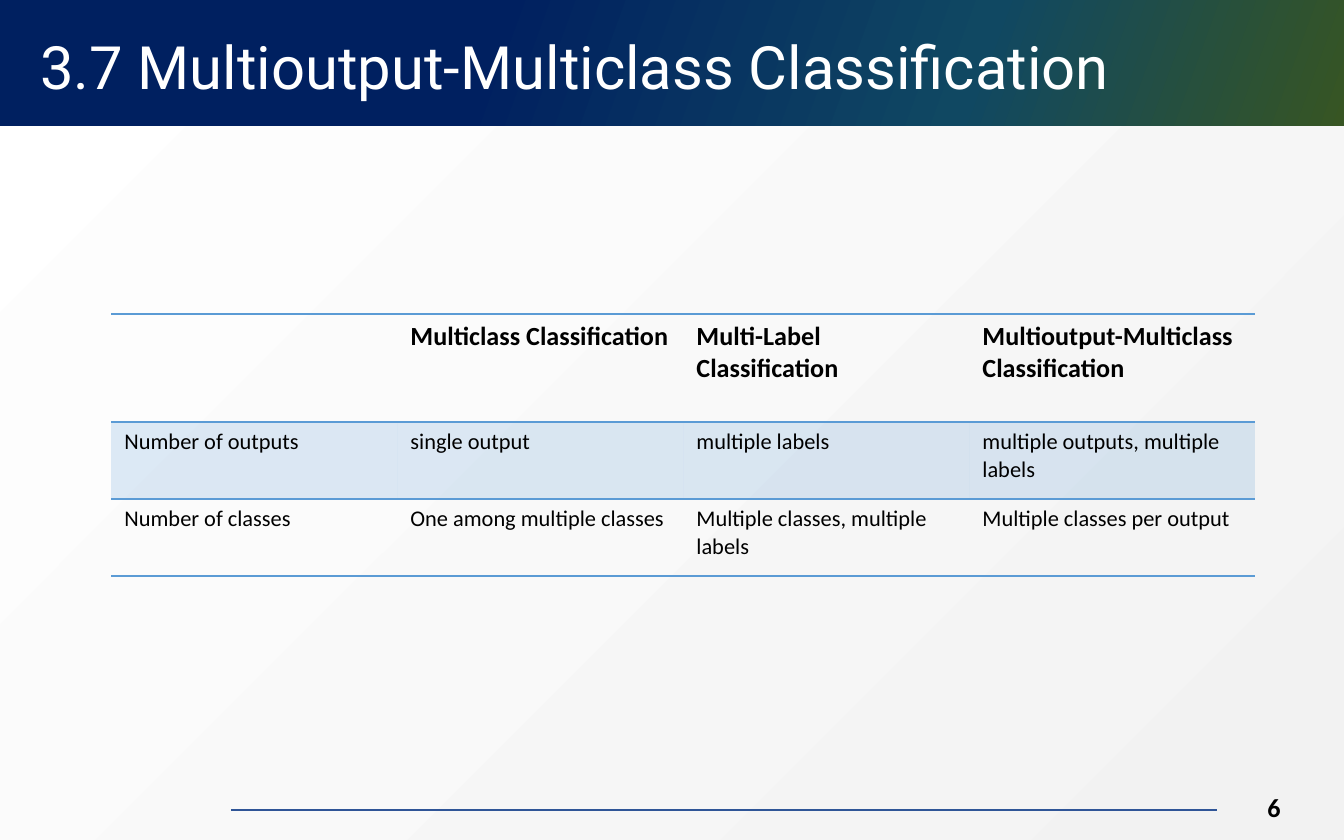
from lxml import etree
from pptx import Presentation
from pptx import util as u
from pptx.dml.color import RGBColor
from pptx.enum import shapes, text
from pptx.oxml.ns import qn

SCALE = 914400 / 134.4
WHITE = RGBColor(0xFF, 0xFF, 0xFF)
BLACK = RGBColor(0, 0, 0)
LIGHT_GRAY = RGBColor(0xF2, 0xF2, 0xF2)
GREEN = RGBColor(0x37, 0x55, 0x23)
TEAL = RGBColor(0x10, 0x48, 0x62)
NAVY = RGBColor(0, 0x20, 0x60)
RULE_BLUE = RGBColor(0x2F, 0x55, 0x97)
TABLE_BLUE = RGBColor(0x5B, 0x9B, 0xD5)
NO_STYLE = "{2D5ABB26-0587-4C30-8999-92F81FD0307C}"


def px(*lengths):
    return [u.Emu(round(length * SCALE)) for length in lengths]


def set_gradient(fill, element, angle, stops):
    fill.gradient()
    fill.gradient_angle = angle
    stop_list = element.find(".//" + qn("a:gsLst"))
    for stop in list(stop_list):
        stop_list.remove(stop)
    for position, color in stops:
        stop = etree.SubElement(stop_list, qn("a:gs"), pos=str(position * 1000))
        etree.SubElement(stop, qn("a:srgbClr"), val=str(color))


presentation = Presentation()
presentation.slide_width, presentation.slide_height = px(1344, 840)
slide = presentation.slides.add_slide(presentation.slide_layouts[6])
set_gradient(slide.background.fill, slide.element, 315, [(0, WHITE), (100, LIGHT_GRAY)])

banner = slide.shapes.add_shape(shapes.MSO_SHAPE.RECTANGLE, *px(0, 0, 1344, 126))
banner.shadow.inherit = False
banner.line.fill.background()
set_gradient(banner.fill, banner.element, 160,
             [(0, GREEN), (28, TEAL), (64, NAVY), (100, NAVY)])

footer_rule = slide.shapes.add_connector(
    shapes.MSO_CONNECTOR.STRAIGHT, *px(231, 810, 1217, 810))
footer_rule.line.color.rgb = RULE_BLUE
footer_rule.line.width = u.Pt(1)
etree.SubElement(footer_rule.element.spPr, qn("a:effectLst"))

title = slide.shapes.add_textbox(*px(0, 0, 1344, 140))
title.text_frame.word_wrap = True
title.text_frame.vertical_anchor = text.MSO_ANCHOR.MIDDLE
paragraph = title.text_frame.paragraphs[0]
paragraph.text = "3.7 Multioutput-Multiclass Classification"
paragraph.line_spacing = 0.9
paragraph.font.name = "Roboto"
paragraph.font.size = u.Pt(32)
paragraph.font.color.rgb = WHITE
paragraph._p.get_or_add_pPr().set("marL", str(px(27)[0]))

page_number = slide.shapes.add_textbox(*px(1196, 785, 98, 44))
page_number.text_frame.word_wrap = True
paragraph = page_number.text_frame.paragraphs[0]
paragraph.text = "6"
paragraph.alignment = text.PP_ALIGN.RIGHT
paragraph.font.name = "Calibri"
paragraph.font.size = u.Pt(14)
paragraph.font.bold = True
paragraph.font.color.rgb = BLACK

rows = [
    ["", "Multiclass Classification", "Multi-Label Classification",
     "Multioutput-Multiclass Classification"],
    ["Number of outputs", "single output", "multiple labels",
     "multiple outputs, multiple labels"],
    ["Number of classes", "One among multiple classes",
     "Multiple classes, multiple labels", "Multiple classes per output"],
]
row_heights = px(108, 77, 77)
row_borders = [("lnT", "lnB"), ("lnT",), ("lnB",)]

table = slide.shapes.add_table(3, 4, *px(111, 314, 1144, 262)).table
table.first_row = False
table.horz_banding = False
table._tbl.tblPr.find(qn("a:tableStyleId")).text = NO_STYLE
for column in table.columns:
    column.width = px(286)[0]

for row_index, labels in enumerate(rows):
    is_header = row_index == 0
    table.rows[row_index].height = row_heights[row_index]
    for column_index, label in enumerate(labels):
        cell = table.cell(row_index, column_index)
        paragraph = cell.text_frame.paragraphs[0]
        paragraph.text = label
        paragraph.font.name = "Calibri"
        paragraph.font.size = u.Pt(14 if is_header else 12)
        paragraph.font.bold = is_header
        paragraph.font.color.rgb = BLACK

        properties = cell._tc.get_or_add_tcPr()
        for side in row_borders[row_index]:
            border = etree.SubElement(properties, qn("a:" + side), w=str(u.Pt(1)))
            border_fill = etree.SubElement(border, qn("a:solidFill"))
            etree.SubElement(border_fill, qn("a:srgbClr"), val=str(TABLE_BLUE))
        if row_index == 1:
            cell.fill.solid()
            cell.fill.fore_color.rgb = TABLE_BLUE
            tint = properties.find(qn("a:solidFill") + "/" + qn("a:srgbClr"))
            etree.SubElement(tint, qn("a:alpha"), val="20000")
        else:
            cell.fill.background()

presentation.save("out.pptx")
